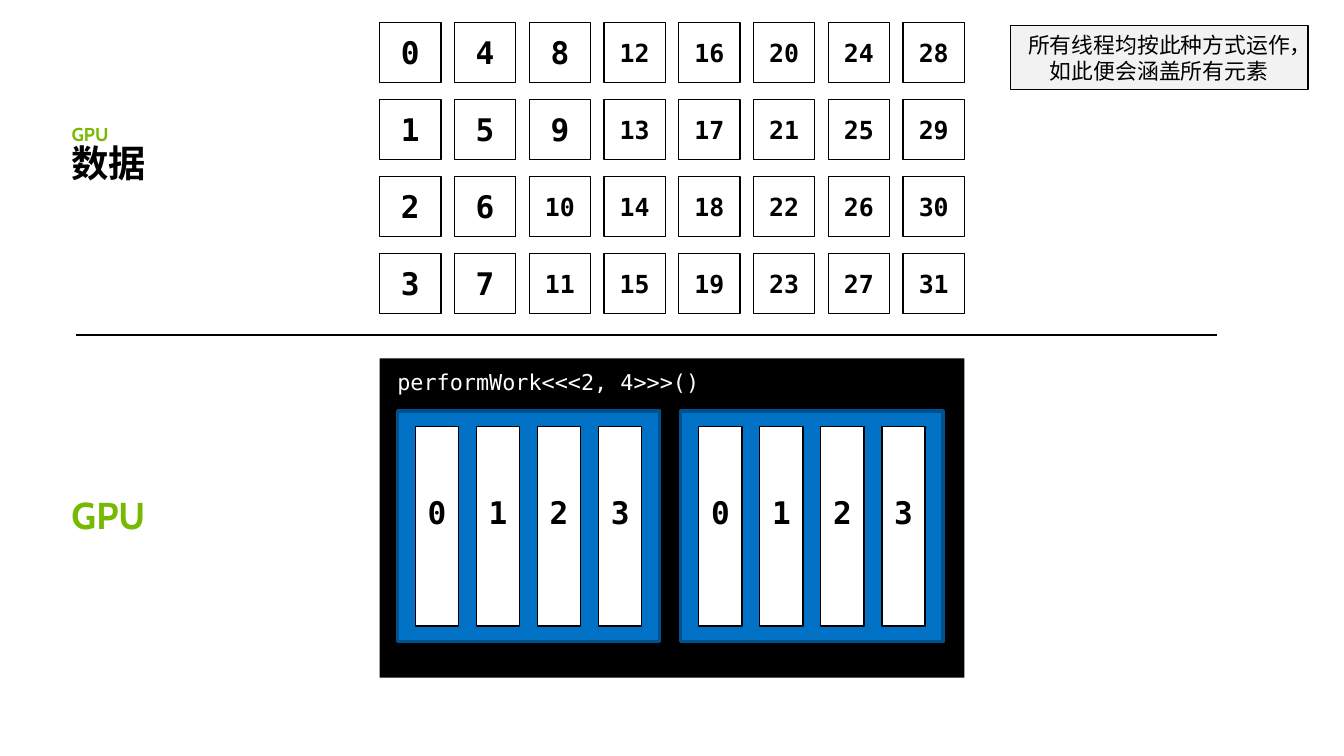
from dataclasses import dataclass

from lxml import etree
from pptx import Presentation
from pptx.dml.color import RGBColor
from pptx.enum.shapes import MSO_CONNECTOR, MSO_SHAPE
from pptx.enum.text import MSO_ANCHOR, PP_ALIGN
from pptx.oxml.ns import qn
from pptx.util import Inches, Pt

RECTANGLE = MSO_SHAPE.RECTANGLE
STRAIGHT = MSO_CONNECTOR.STRAIGHT
TOP, MIDDLE, BOTTOM = MSO_ANCHOR.TOP, MSO_ANCHOR.MIDDLE, MSO_ANCHOR.BOTTOM
LEFT, CENTER = PP_ALIGN.LEFT, PP_ALIGN.CENTER
BLANK_LAYOUT = 6


@dataclass(frozen=True)
class Theme:
    black: str = "000000"
    white: str = "FFFFFF"
    green: str = "76B900"
    blue: str = "0071C5"
    dark_blue: str = "00528F"
    pale_gray: str = "F2F2F2"
    heading_font: str = "Cabin"
    code_font: str = "DejaVu Sans Mono"
    body_font: str = "Arial"
    heading: int = 24
    digit: int = 20
    two_digits: int = 16
    body: int = 14
    small: int = 12
    thin: float = 0.75
    rule: float = 1.5
    thick: float = 2


THEME = Theme()


@dataclass(frozen=True)
class Box:
    """A rectangle measured in inches."""
    left: float
    top: float
    width: float
    height: float

    def inset(self, left, top, right, bottom):
        return Box(self.left + left, self.top + top,
                   self.width - left - right, self.height - top - bottom)

    def split(self, columns, rows=1, gap_x=0, gap_y=0):
        """Equal cells, listed column by column."""
        width = (self.width - gap_x * (columns - 1)) / columns
        height = (self.height - gap_y * (rows - 1)) / rows
        return [Box(self.left + column * (width + gap_x),
                    self.top + row * (height + gap_y), width, height)
                for column in range(columns) for row in range(rows)]

    def lengths(self):
        return [Inches(value) for value in
                (self.left, self.top, self.width, self.height)]


def add_rectangle(page, box, fill, line=None, weight=THEME.thin):
    shape = page.shapes.add_shape(RECTANGLE, *box.lengths())
    shape.shadow.inherit = False
    shape.fill.solid()
    shape.fill.fore_color.rgb = RGBColor.from_string(fill)
    if line:
        shape.line.color.rgb = RGBColor.from_string(line)
        shape.line.width = Pt(weight)
    else:
        shape.line.fill.background()
    return shape


def write(shape, text, font, size, color=THEME.black, bold=False,
          align=CENTER, anchor=MIDDLE, spacing=None):
    frame = shape.text_frame
    frame.word_wrap = True
    frame.vertical_anchor = anchor
    para = frame.paragraphs[0]
    para.text = text
    para.alignment = align
    para.line_spacing = spacing
    para.font.name = font
    para.font.size = Pt(size)
    para.font.bold = bold
    para.font.color.rgb = RGBColor.from_string(color)


def add_number(page, box, number, raise_by=0):
    """A white cell with its number, lifted above the middle if asked."""
    cell = add_rectangle(page, box, THEME.white, THEME.black)
    frame = cell.text_frame
    frame.margin_left = frame.margin_right = 0
    frame.margin_top = 0
    frame.margin_bottom = Inches(2 * raise_by)
    size = THEME.digit if number < 10 else THEME.two_digits
    write(cell, str(number), THEME.code_font, size, bold=True)


def add_label(page, box, text, size, color):
    label = page.shapes.add_textbox(*box.lengths())
    write(label, text, THEME.heading_font, size, color, bold=True,
          align=LEFT, anchor=BOTTOM, spacing=0.9)


def draw_data(page, box):
    cells = box.split(columns=8, rows=4, gap_x=0.12, gap_y=0.15)
    for number, cell in enumerate(cells):
        add_number(page, cell, number)


def draw_kernel(page, box, call):
    """A kernel launch: its call above two blocks of four threads."""
    add_rectangle(page, box, THEME.black)
    caption = add_rectangle(page, box.inset(0.06, 0.08, 2.1, 2.51), THEME.black)
    write(caption, call, THEME.code_font, THEME.body, THEME.white, align=LEFT)
    for block in box.inset(0.16, 0.47, 0.19, 0.32).split(2, gap_x=0.19):
        add_rectangle(page, block, THEME.blue, THEME.dark_blue, THEME.thick)
        threads = block.inset(0.16, 0.14, 0.16, 0.14).split(4, gap_x=0.16)
        for number, thread in enumerate(threads):
            add_number(page, thread, number, raise_by=0.13)


def draw_divider(page, left, right, height):
    rule = page.shapes.add_connector(
        STRAIGHT, Inches(left), Inches(height), Inches(right), Inches(height))
    rule.line.color.rgb = RGBColor.from_string(THEME.black)
    rule.line.width = Pt(THEME.rule)
    etree.SubElement(rule._element.spPr, qn("a:effectLst"))


def draw_labels(page, left):
    add_label(page, Box(left, 4.39, 0.97, 0.46), "GPU", THEME.heading, THEME.green)
    add_label(page, Box(left, 1.25, 1.1, 0.46), "数据", THEME.heading, THEME.black)
    add_label(page, Box(left, 1.07, 0.55, 0.28), "GPU", THEME.small, THEME.green)


def draw_note(page, box, text):
    note = add_rectangle(page, box, THEME.pale_gray, THEME.black)
    write(note, text, THEME.body_font, THEME.body, anchor=TOP)


def main():
    deck = Presentation()
    deck.slide_width, deck.slide_height = Inches(12), Inches(6.75)
    page = deck.slides.add_slide(deck.slide_layouts[BLANK_LAYOUT])
    draw_kernel(page, Box(3.39, 3.2, 5.22, 2.85), "performWork<<<2, 4>>>()")
    draw_data(page, Box(3.39, 0.2, 5.22, 2.6))
    draw_divider(page, left=0.68, right=10.87, height=2.99)
    draw_labels(page, left=0.54)
    draw_note(page, Box(9.02, 0.23, 2.66, 0.57),
              "所有线程均按此种方式运作，如此便会涵盖所有元素")
    deck.save("out.pptx")


if __name__ == "__main__":
    main()
